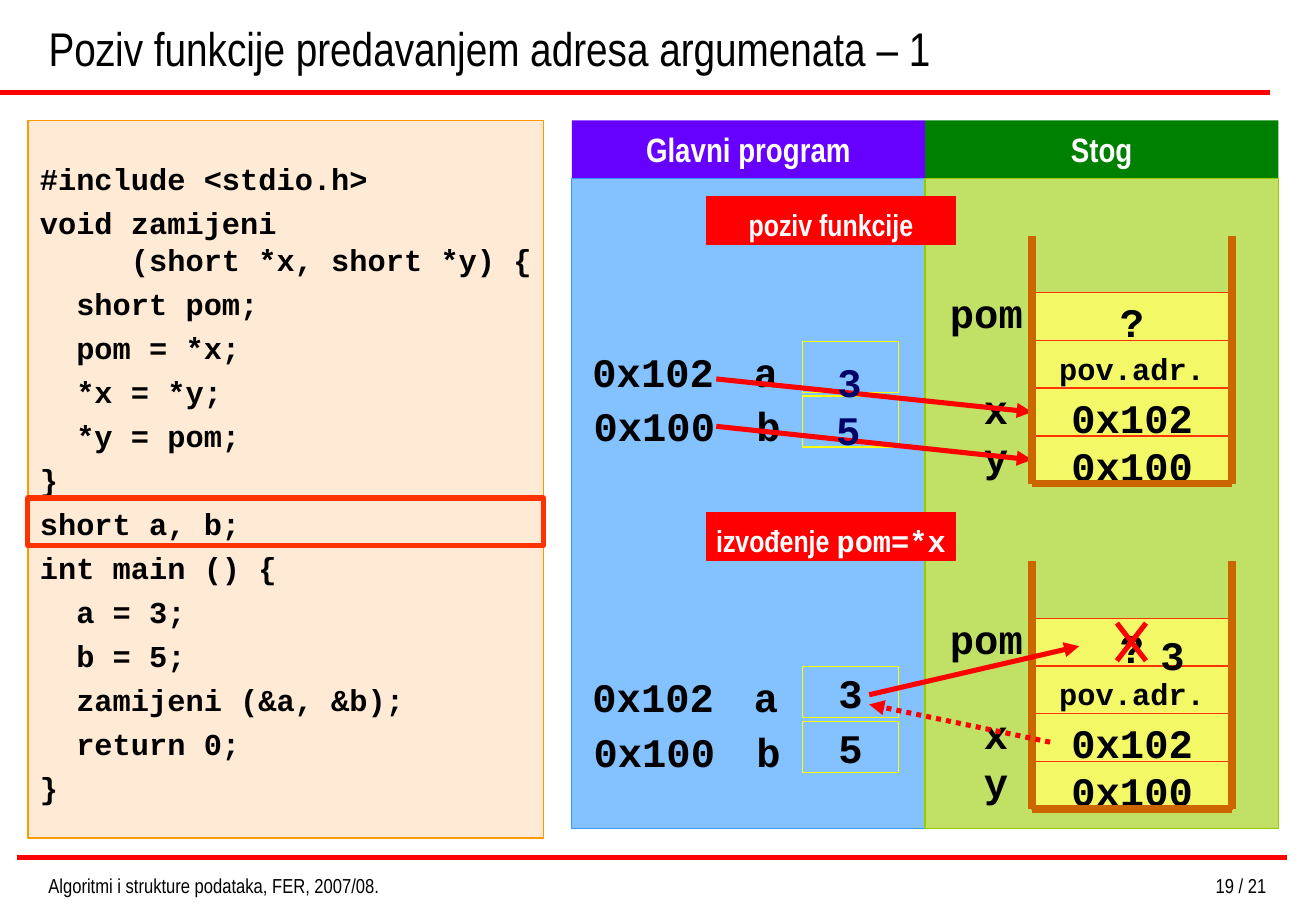
from dataclasses import dataclass

from lxml.etree import SubElement
from pptx import Presentation
from pptx.dml.color import RGBColor
from pptx.enum.dml import MSO_LINE
from pptx.enum.shapes import MSO_CONNECTOR, MSO_SHAPE
from pptx.enum.text import MSO_ANCHOR, MSO_AUTO_SIZE, PP_ALIGN
from pptx.oxml.ns import qn
from pptx.util import Inches, Pt

# Grid of tenth-inch columns and rows
COLUMNS, ROWS = 108.4, 75
NARROW, MONO = "Arial Narrow", "Courier New"
BLACK, WHITE, RED, NAVY = "000000", "FFFFFF", "FF0000", "000066"

PANEL_LEFT, PANEL_WIDTH, PANEL_TOP = 47.1, 29.1, 9.9
STACK_LEFT, STACK_WIDTH, STACK_ROW = 85, 16.5, 3.93
VARIABLE_STEP = 4.5


def grid(cells: float) -> int:
    return Inches(cells / 10)


def color(code: str) -> RGBColor:
    return RGBColor.from_string(code)


@dataclass
class Area:
    left: float
    top: float
    width: float
    height: float

    def emu(self) -> list[int]:
        return [grid(n) for n in (self.left, self.top, self.width, self.height)]


@dataclass
class Style:
    size: float
    font: str = MONO
    ink: str = BLACK
    bold: bool = True
    align: PP_ALIGN = PP_ALIGN.CENTER
    anchor: MSO_ANCHOR = MSO_ANCHOR.MIDDLE
    drop: float = 0  # points added to the top inset
    wrap: bool = False


@dataclass
class Scene:
    banner_top: float
    banner: list[tuple[str, str]]
    stack_top: float
    values: tuple[str, str]


LABEL = Style(24)
STACK_VALUE = Style(24, drop=6)
RETURN_ADDRESS = Style(18, drop=4.5)
BANNER = Style(18, NARROW, WHITE, drop=4.5)
HEADING = Style(20, NARROW, WHITE)
CODE = Style(18, align=PP_ALIGN.LEFT, drop=4.5)
LOOSE_VALUE = Style(24, align=PP_ALIGN.LEFT, anchor=MSO_ANCHOR.TOP, drop=6)

STACK = [("pom", "?", STACK_VALUE), ("", "pov.adr.", RETURN_ADDRESS),
         ("x", "0x102", STACK_VALUE), ("y", "0x100", STACK_VALUE)]
VARIABLES = [("0x102", 48.7, "a", 61.3), ("0x100", 48.8, "b", 61.5)]
SCENES = [
    Scene(16.2, [("poziv funkcije", NARROW)], 24.1, ("", "")),
    Scene(42.2, [("izvođenje ", NARROW), ("pom=*x", MONO)], 50.9, ("3", "5")),
]
CODE_LINES = [
    "#include <stdio.h>", "void zamijeni\v     (short *x, short *y) {",
    "  short pom;", "  pom = *x;", "  *x = *y;", "  *y = pom;", "}",
    "short a, b;", "int main () {", "  a = 3;", "  b = 5;",
    "  zamijeni (&a, &b);", "  return 0;", "}",
]

deck = Presentation()
deck.slide_width, deck.slide_height = grid(COLUMNS), grid(ROWS)
slide = deck.slides.add_slide(deck.slide_layouts[5])


def format_paragraph(paragraph, style: Style) -> None:
    paragraph.alignment = style.align
    font = paragraph.font
    font.size, font.bold, font.name = Pt(style.size), style.bold, style.font
    font.color.rgb = color(style.ink)


def write(shape, text: str, style: Style) -> None:
    frame = shape.text_frame
    frame.text = text
    frame.auto_size = MSO_AUTO_SIZE.NONE
    frame.word_wrap, frame.vertical_anchor = style.wrap, style.anchor
    frame.margin_left = frame.margin_right = grid(1)
    frame.margin_top = grid(0.5) + Pt(style.drop)
    frame.margin_bottom = grid(0.5)
    for paragraph in frame.paragraphs:
        format_paragraph(paragraph, style)


def box(area: Area, fill: str = "", line: str = "", width: float = 0.75,
        opacity: int = 100, text: str = "", style: Style = LABEL):
    shape = slide.shapes.add_shape(MSO_SHAPE.RECTANGLE, *area.emu())
    shape.shadow.inherit = False
    if fill:
        shape.fill.solid()
        shape.fill.fore_color.rgb = color(fill)
        if opacity < 100:
            tint = shape.element.spPr.find(f".//{qn('a:srgbClr')}")
            SubElement(tint, qn("a:alpha")).set("val", str(opacity * 1000))
    else:
        shape.fill.background()
    if line:
        shape.line.color.rgb, shape.line.width = color(line), Pt(width)
    else:
        shape.line.fill.background()
    if text:
        write(shape, text, style)
    return shape


def label(area: Area, text: str, style: Style = LABEL) -> None:
    write(slide.shapes.add_textbox(*area.emu()), text, style)


def stroke(x1: float, y1: float, x2: float, y2: float, ink: str = RED,
           width: float = 3, arrow: bool = False, dotted: bool = False):
    line = slide.shapes.add_connector(
        MSO_CONNECTOR.STRAIGHT, *[grid(n) for n in (x1, y1, x2, y2)])
    line.line.color.rgb, line.line.width = color(ink), Pt(width)
    if dotted:
        line.line.dash_style = MSO_LINE.ROUND_DOT
    properties = line.element.spPr
    if arrow:
        SubElement(properties.find(qn("a:ln")), qn("a:tailEnd")).set("type", "triangle")
    SubElement(properties, qn("a:effectLst"))
    return line


def draw_scene(scene: Scene) -> list:
    """Draw banner, variables and stack; return the stack cells."""
    banner = box(Area(58.2, scene.banner_top, 20.5, 3.9), RED, RED, text=" ", style=BANNER)
    paragraph = banner.text_frame.paragraphs[0]
    paragraph.clear()
    for text, font in scene.banner:
        run = paragraph.add_run()
        run.text, run.font.name = text, font

    for i, (address, address_left, name, name_left) in enumerate(VARIABLES):
        top = scene.stack_top + 4 + i * VARIABLE_STEP
        box(Area(66.1, top, 7.9, 4.2), line="FFFF00", text=scene.values[i])
        label(Area(address_left, top + 0.8, 10.2, 3.3), address)
        label(Area(name_left, top + 0.8, 3.6, 3.3), name)

    cells = []
    for i, (name, value, style) in enumerate(STACK):
        top = scene.stack_top + i * STACK_ROW
        cells.append(box(Area(STACK_LEFT, top, STACK_WIDTH, STACK_ROW),
                         "FFFF66", "FF3300", opacity=80, text=value, style=style))
        if name:
            width = 2.8 + 0.8 * len(name)
            label(Area(83.85 - width, top, width, 3.3), name)
    return cells


def draw_stack_walls(scene: Scene) -> None:
    right, top = STACK_LEFT + STACK_WIDTH, scene.stack_top - 4.7
    bottom = scene.stack_top + len(STACK) * STACK_ROW
    for wall in [(STACK_LEFT, top, STACK_LEFT, bottom), (right, top, right, bottom),
                 (STACK_LEFT, bottom, right, bottom)]:
        stroke(*wall, ink="CC6600", width=4.5)


# Title and rules
title = slide.shapes.title
title.left, title.top, title.width, title.height = Area(3, 0, 101.6, 6.8).emu()
write(title, "Poziv funkcije predavanjem adresa argumenata – 1",
      Style(28, NARROW, bold=False, align=PP_ALIGN.LEFT, anchor=MSO_ANCHOR.BOTTOM, wrap=True))
stroke(0, 7.6, 104.6, 7.6)
stroke(1.4, 70.6, 106, 70.6)

# Program code
code = box(Area(2.3, PANEL_TOP, 42.5, 59.1), "FFCC99", "FF9900", opacity=40,
           text="\n".join(CODE_LINES), style=CODE)
for number, paragraph in enumerate(code.text_frame.paragraphs):
    paragraph.line_spacing = Pt(21.6)
    if number:
        paragraph.space_before = Pt(4.5)

# Memory panels
for i, (heading, dark, light) in enumerate([("Glavni program", "6600FF", "3399FF"),
                                            ("Stog", "008000", "99CC00")]):
    left = PANEL_LEFT + i * PANEL_WIDTH
    box(Area(left, 14.7, PANEL_WIDTH, 53.5), light, light, opacity=60)
    box(Area(left, PANEL_TOP, PANEL_WIDTH, 4.75), dark, text=heading, style=HEADING)

# Call and execution scenes
call_cells, _ = [draw_scene(scene) for scene in SCENES]

# Crossed-out old value of pom
stroke(92, 54.4, 94.4, 51.3)
stroke(92, 51.3, 94.4, 54.4)

# Addresses passed to the stack
for cell, start, end in zip(call_cells[2:], (31.2, 35.1), (34.3, 37.5)):
    stroke(59, start, STACK_LEFT, end, arrow=True).end_connect(cell, 1)

for scene in SCENES:
    draw_stack_walls(scene)

# Values beside the cells and the highlighted declaration
label(Area(94.6, 50.5, 4, 5), "3", LOOSE_VALUE)
box(Area(2.3, 41, 42.5, 3.9), line="FF3300", width=3)
for value, left, top in [("3", 68, 28.1), ("5", 67.9, 32)]:
    label(Area(left, top, 4, 5), value,
          Style(24, ink=NAVY, align=PP_ALIGN.LEFT, anchor=MSO_ANCHOR.TOP, drop=6))

# Following the pointer and copying its value
stroke(86.5, 61.1, 71.6, 58, arrow=True, dotted=True)
stroke(71.6, 57.2, 88.9, 53.2, arrow=True)

# Footer
for text, left, width, align in [
        ("Algoritmi i strukture podataka, FER, 2007/08.", 3, 37.8, PP_ALIGN.LEFT),
        ("19 / 21", 77.6, 27.7, PP_ALIGN.RIGHT)]:
    label(Area(left, 71.4, width, 2.4), text,
          Style(12, NARROW, bold=False, align=align, anchor=MSO_ANCHOR.TOP, wrap=True))

deck.save("out.pptx")
